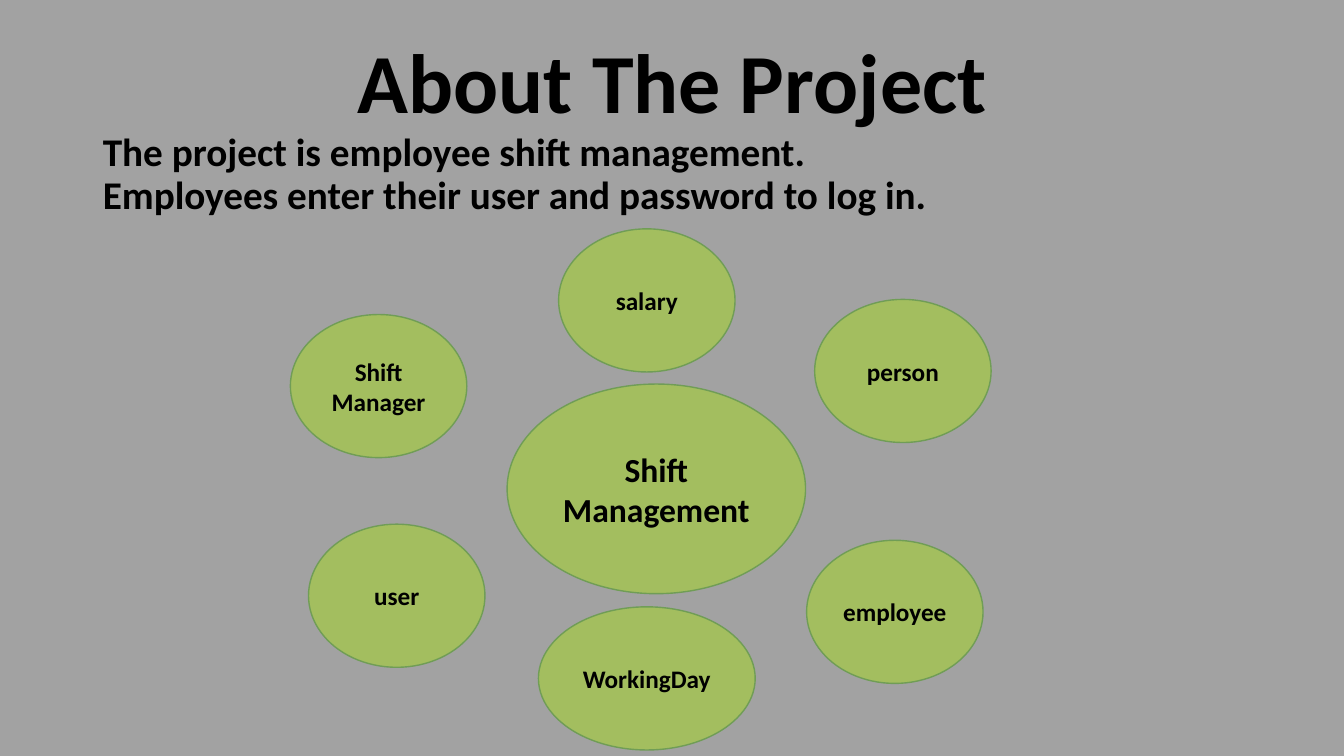
from pptx import Presentation
from pptx.dml.color import RGBColor
from pptx.enum.shapes import MSO_SHAPE as Shape
from pptx.enum.text import MSO_ANCHOR as Anchor, MSO_AUTO_SIZE as Fit, PP_ALIGN as Align
from pptx.util import Inches, Pt
from lxml import etree

BLACK, GREY, GREEN, EDGE = "000000", "A2A2A2", "A3BE5F", "709D56"
SMALL = (1.75, 1.42)
WIDE = (2.15, 1.42)
HUB = (2.96, 2.08)

BUBBLES = [
    ("Shift Management", 5.03, 3.81, HUB, 24),
    ("employee", 8, 5.36, SMALL, 18),
    ("user", 3.06, 5.2, SMALL, 18),
    ("salary", 5.54, 2.27, SMALL, 18),
    ("person", 8.08, 2.97, SMALL, 18),
    ("Shift Manager", 2.88, 3.12, SMALL, 18),
    ("WorkingDay", 5.34, 6.02, WIDE, 18),
]


def paint(fill, color):
    fill.solid()
    fill.fore_color.rgb = RGBColor.from_string(color)


def write(shape, text, size=18, align=Align.CENTER, anchor=Anchor.MIDDLE,
          spacing=None, before=None):
    """Fill a shape with one paragraph; a vertical tab breaks the line."""
    frame = shape.text_frame
    frame.word_wrap = True
    frame.auto_size = Fit.NONE
    frame.vertical_anchor = anchor
    para = frame.paragraphs[0]
    para.text = text
    para.alignment = align
    para.line_spacing = spacing
    if before is not None:
        para.space_before = Pt(before)
    for run in para.runs:
        run.font.name = "Calibri"
        run.font.size = Pt(size)
        run.font.bold = True
        run.font.color.rgb = RGBColor.from_string(BLACK)
    return para


def place(shape, left, top, width, height):
    shape.left, shape.top = Inches(left), Inches(top)
    shape.width, shape.height = Inches(width), Inches(height)


def unbullet(para):
    props = para._p.get_or_add_pPr()
    props.set("marL", "0")
    props.set("indent", "0")
    space = props.nsmap["a"]
    etree.SubElement(props, f"{{{space}}}buNone")


def bubble(slide, text, left, top, size, points):
    oval = slide.shapes.add_shape(
        Shape.OVAL, Inches(left), Inches(top), *map(Inches, size))
    oval.shadow.inherit = False
    paint(oval.fill, GREEN)
    paint(oval.line.fill, EDGE)
    oval.line.width = Pt(1)
    write(oval, text, size=points)


def main():
    deck = Presentation()
    deck.slide_width, deck.slide_height = Inches(13.33), Inches(7.5)
    slide = deck.slides.add_slide(deck.slide_layouts[1])
    paint(slide.background.fill, GREY)

    title, body = slide.placeholders
    place(title, 0.92, 0.13, 11.5, 1.45)
    write(title, "About The Project", size=60, spacing=0.9)
    place(body, 0.92, 1.27, 11.5, 5.62)
    para = write(
        body,
        "The project is employee shift management.\v"
        "Employees enter their user and password to log in.",
        size=28, align=Align.LEFT, anchor=Anchor.TOP, spacing=0.9, before=10)
    unbullet(para)

    for item in BUBBLES:
        bubble(slide, *item)
    deck.save("out.pptx")


if __name__ == "__main__":
    main()
